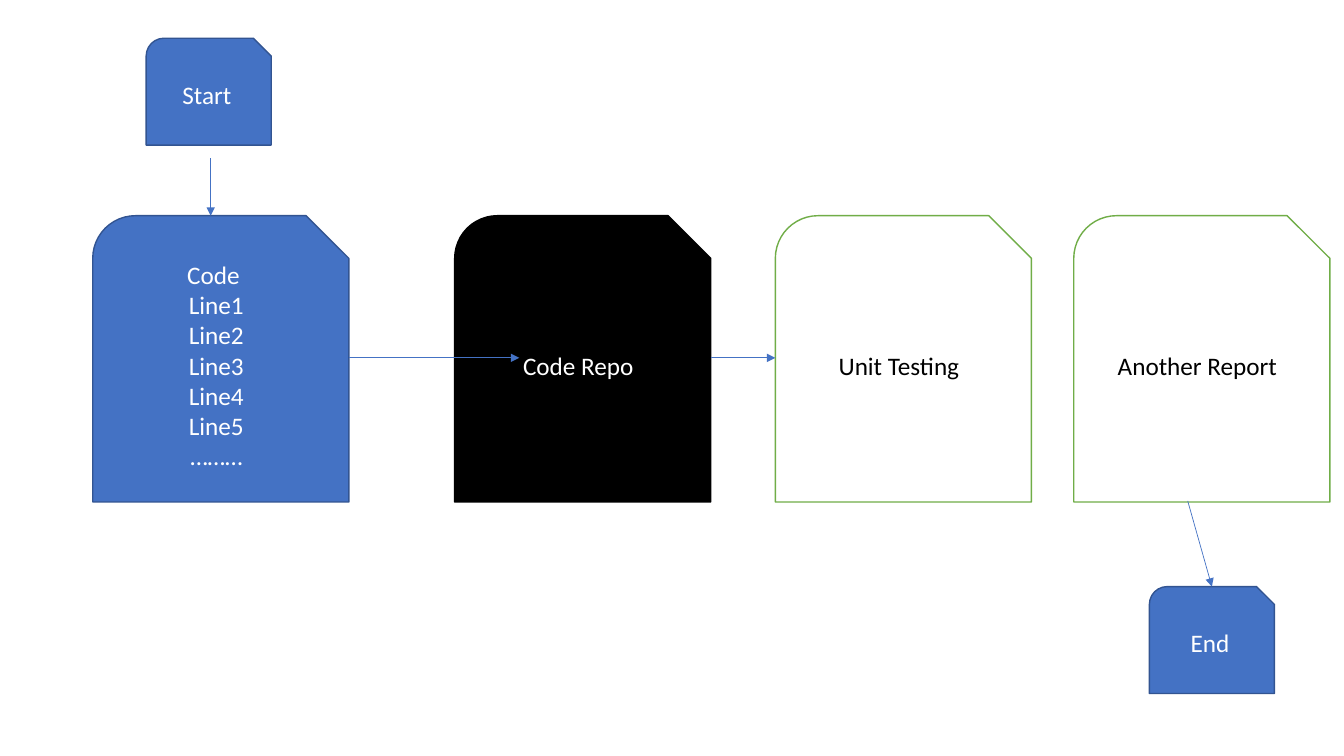
from pptx import Presentation
from pptx.dml.color import RGBColor
from pptx.enum.shapes import MSO_CONNECTOR, MSO_SHAPE
from pptx.enum.text import MSO_ANCHOR, PP_ALIGN
from pptx.oxml.ns import qn
from pptx.util import Inches, Pt
from lxml import etree

CARD = MSO_SHAPE.SNIP_ROUND_RECTANGLE
STRAIGHT = MSO_CONNECTOR.STRAIGHT
MIDDLE = MSO_ANCHOR.MIDDLE
CENTER = PP_ALIGN.CENTER

BLUE, NAVY, GREEN = "4472C4", "325491", "70AD47"
BLACK, WHITE = "000000", "FFFFFF"
STEP_TOP, STEP_W, STEP_H = 2.14, 2.54, 2.84
END_W, END_H = 1.24, 1.06
STEPS = [
    (0.92, ["Code ", "Line1", "Line2", "Line3", "Line4", "Line5", "………"],
     BLUE, NAVY, WHITE),
    (4.51, ["Code Repo"], BLACK, BLACK, WHITE),
    (7.69, ["Unit Testing"], WHITE, GREEN, BLACK),
    (10.65, ["Another Report"], WHITE, GREEN, BLACK),
]
TERMINALS = [(1.45, 0.38, "Start"), (11.4, 5.82, "End")]
ARROWS = [
    ((3.46, 3.55), (5.15, 3.55)),
    ((7.05, 3.55), (7.69, 3.55)),
    ((2.09, 1.57), (2.09, STEP_TOP)),
    ((11.78, 4.97), (12.02, 5.82)),
]


def color(value):
    return RGBColor.from_string(value)


def add_card(s, box, lines, fill, border, ink):
    sp = s.shapes.add_shape(CARD, *(Inches(v) for v in box))
    sp.shadow.inherit = False
    sp.fill.solid()
    sp.fill.fore_color.rgb = color(fill)
    sp.line.color.rgb = color(border)
    sp.line.width = Pt(1)
    tf = sp.text_frame
    tf.word_wrap = True
    tf.vertical_anchor = MIDDLE
    for i, text in enumerate(lines):
        p = tf.add_paragraph() if i else tf.paragraphs[0]
        p.alignment = CENTER
        r = p.add_run()
        r.text = text
        r.font.name = "Calibri"
        r.font.size = Pt(18)
        r.font.color.rgb = color(ink)


def add_arrow(s, start, end):
    c = s.shapes.add_connector(STRAIGHT, *(Inches(v) for v in start + end))
    c.line.color.rgb = color(BLUE)
    c.line.width = Pt(0.5)
    etree.SubElement(c.line._get_or_add_ln(), qn("a:tailEnd"), type="triangle")
    etree.SubElement(c._element.spPr, qn("a:effectLst"))


def add_flow(s):
    for left, lines, fill, border, ink in STEPS:
        add_card(s, (left, STEP_TOP, STEP_W, STEP_H), lines, fill, border, ink)
    for left, top, label in TERMINALS:
        add_card(s, (left, top, END_W, END_H), [label], BLUE, NAVY, WHITE)
    for start, end in ARROWS:
        add_arrow(s, start, end)


def main():
    prs = Presentation()
    prs.slide_width = Inches(13.33)
    prs.slide_height = Inches(7.5)
    s = prs.slides.add_slide(prs.slide_layouts[6])
    add_flow(s)
    prs.save("out.pptx")


if __name__ == "__main__":
    main()
